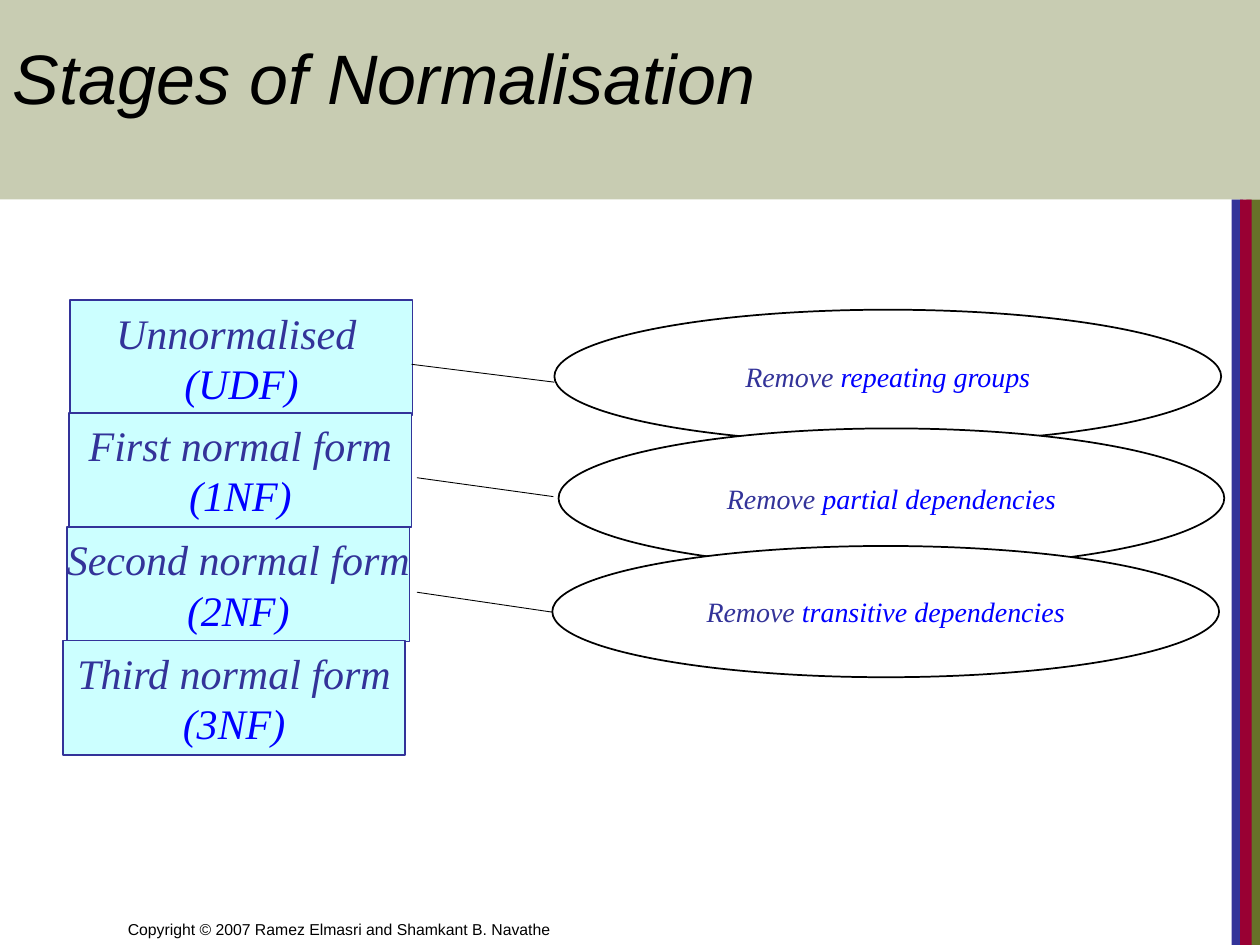
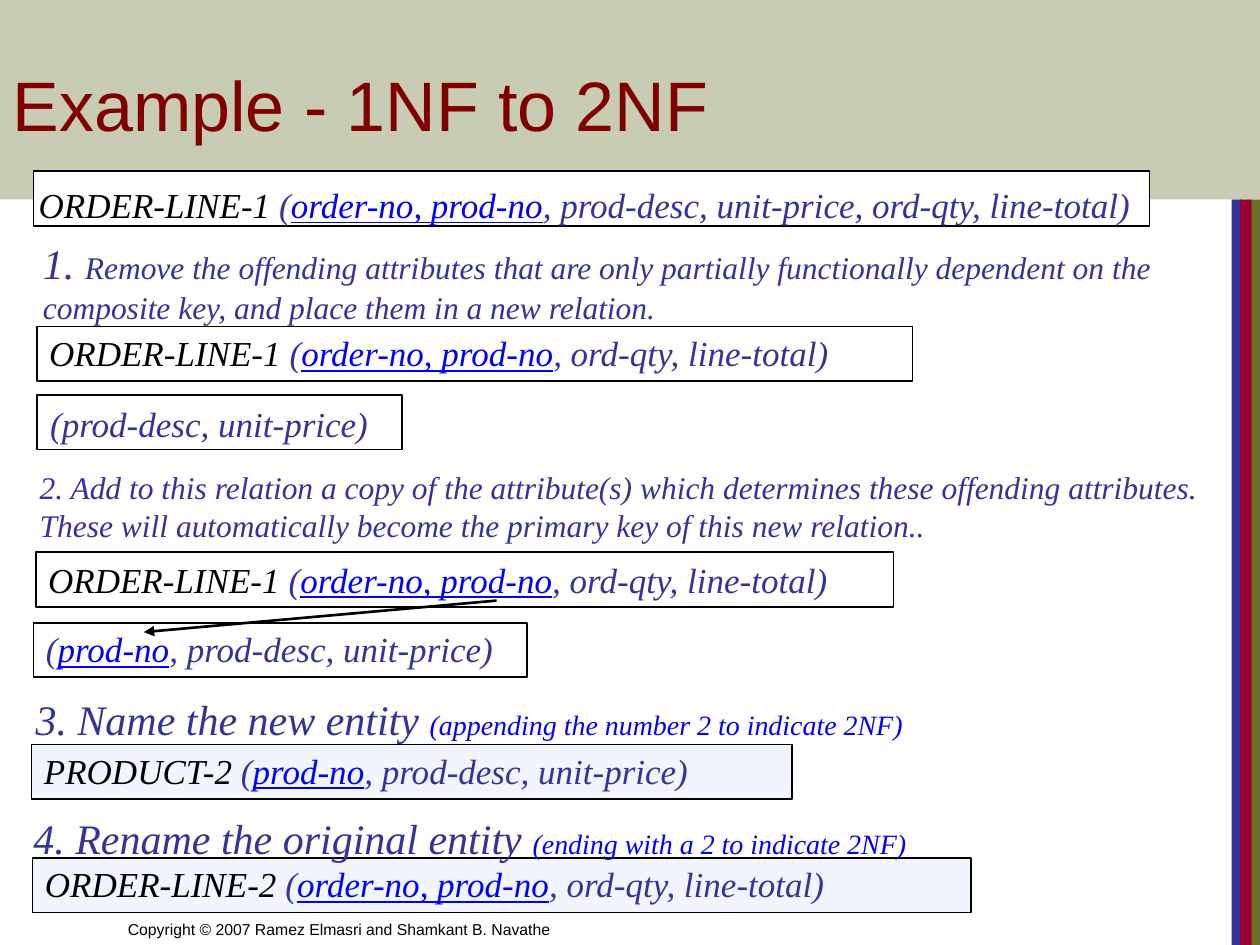
"""Build two slides on database normalisation: its stages and a 1NF to 2NF example."""
from lxml.etree import SubElement
from pptx import Presentation
from pptx.dml.color import RGBColor
from pptx.enum.shapes import MSO_CONNECTOR, MSO_SHAPE
from pptx.enum.text import MSO_ANCHOR, PP_ALIGN
from pptx.oxml.ns import qn
from pptx.util import Pt

PX = 7620
INK, BLUE, KEY = "000000", "333399", "0000FF"
WHITE, AQUA, PALE = "FFFFFF", "CCFFFF", "F0F5FE"
rgb = RGBColor.from_string


def add_block(s, kind, at, fill, line=None):
    sp = s.shapes.add_shape(kind, *(v * PX for v in at))
    sp.shadow.inherit = False
    sp.fill.solid()
    sp.fill.fore_color.rgb = rgb(fill)
    if line:
        sp.line.color.rgb = rgb(line)
        sp.line.width = Pt(1)
    else:
        sp.line.fill.background()
    sp.text_frame.word_wrap = False
    sp.text_frame.vertical_anchor = MSO_ANCHOR.MIDDLE
    return sp


def write(p, size, runs, align=PP_ALIGN.LEFT, spacing=1.0):
    p.alignment = align
    p.line_spacing = spacing
    p.font.name = "Times New Roman"
    p.font.size = Pt(size)
    p.font.italic = True
    for text, color, *small in runs:
        r = p.add_run()
        r.text = text
        r.font.color.rgb = rgb(color)
        if small:
            r.font.size = Pt(small[0])
        if text in ("order-no, prod-no", "prod-no"):
            r.font.underline = True


prs = Presentation()
prs.slide_width, prs.slide_height = 1200 * PX, 900 * PX
layout = prs.slide_layouts[5]
stages, example = [prs.slides.add_slide(layout) for _ in range(2)]

shared = [add_block(stages, MSO_SHAPE.RECTANGLE, at, fill) for at, fill in [
    ((1187, 190, 13, 710), "677228"),
    ((1173, 190, 11, 710), BLUE),
    ((1181, 190, 11, 710), "990033"),
    ((0, 0, 1200, 190), "C8CCB2"),
]]
footer = stages.shapes.add_textbox(110 * PX, 840 * PX, 590 * PX, 60 * PX)
tf = footer.text_frame
tf.word_wrap = True
tf.vertical_anchor = MSO_ANCHOR.BOTTOM
p = tf.paragraphs[0]
p.text = "Copyright © 2007 Ramez Elmasri and Shamkant B. Navathe"
p.font.name = "Arial"
p.font.size = Pt(9)
p.font.color.rgb = rgb(INK)
for i, sp in enumerate(shared + [footer]):
    sp.element.xpath(".//p:cNvPr")[0].set("id", str(20 + i))
    layout.shapes.element.insert(2 + i, sp.element)

for s, text, color, italic, anchor in [
    (stages, "Stages of Normalisation", INK, True, MSO_ANCHOR.MIDDLE),
    (example, "Example - 1NF to 2NF", "800000", False, MSO_ANCHOR.BOTTOM),
]:
    title = s.shapes.title
    title.left, title.top, title.width, title.height = 0, 0, 1200 * PX, 145 * PX
    title.text_frame.vertical_anchor = anchor
    p = title.text_frame.paragraphs[0]
    p.text = text
    p.alignment = PP_ALIGN.LEFT
    p.font.name = "Arial"
    p.font.size = Pt(40)
    p.font.italic = italic
    p.font.color.rgb = rgb(color)

for x, y, form, code in [
    (67, 286, "Unnormalised ", "(UDF)"),
    (66, 393, "First normal form", "(1NF)"),
    (64, 502, "Second normal form", "(2NF)"),
    (60, 610, "Third normal form", "(3NF)"),
]:
    tf = add_block(stages, MSO_SHAPE.RECTANGLE, (x, y, 326, 109), AQUA, BLUE).text_frame
    write(tf.paragraphs[0], 24, [(form, BLUE)], PP_ALIGN.CENTER)
    write(tf.add_paragraph(), 24, [(code, KEY)], PP_ALIGN.CENTER)

for at, target in [
    ((528, 295, 635, 127), "repeating groups"),
    ((532, 408, 634, 133), "partial dependencies"),
    ((526, 520, 635, 125), "transitive dependencies"),
]:
    tf = add_block(stages, MSO_SHAPE.OVAL, at, WHITE, INK).text_frame
    write(tf.paragraphs[0], 16, [("Remove ", BLUE), (target, KEY)], PP_ALIGN.CENTER)

labels = [
    ((29, 220, 1127, 97), 24, 1.0, [
        ("1. ", BLUE),
        ("Remove the offending attributes that are only partially functionally dependent "
         "on the composite key, and place them in a new relation.", BLUE, 18)]),
    ((26, 440, 1129, 84), 18, 1.0, [
        ("2. Add to this relation a copy of the attribute(s) which determines these offending "
         "attributes. These will automatically become the primary key of this new relation..",
         BLUE)]),
    ((22, 660, 904, 44), 24, 0.9, [
        ("3. Name the new entity ", BLUE),
        ("(appending the number 2 to indicate 2NF)", KEY, 16)]),
    ((20, 768, 899, 48), 24, 1.0, [
        ("4. Rename the original entity ", BLUE),
        ("(ending with a 2 to indicate 2NF)", KEY, 16)]),
]
order_key, product_key = "order-no, prod-no", "prod-no"
order_rest, product_rest = ", ord-qty, line-total)", ", prod-desc, unit-price)"
for box, fill, at, name, key, rest in [
    ((32, 163, 1063, 52), WHITE, (25, 169, 1160, 53), "ORDER-LINE-1", order_key,
     ", prod-desc, unit-price, ord-qty, line-total)"),
    ((35, 311, 834, 52), WHITE, (35, 310, 890, 53), "ORDER-LINE-1", order_key, order_rest),
    ((35, 376, 348, 52), WHITE, (36, 377, 374, 53), "", "", "prod-desc, unit-price)"),
    ((34, 526, 817, 52), WHITE, (34, 526, 874, 53), "ORDER-LINE-1", order_key, order_rest),
    ((32, 593, 470, 52), WHITE, (32, 592, 506, 53), "", product_key, product_rest),
    ((30, 709, 724, 52), PALE, (30, 708, 769, 53), "PRODUCT-2", product_key, product_rest),
    ((31, 817, 894, 52), PALE, (31, 816, 955, 53), "ORDER-LINE-2", order_key, order_rest),
]:
    add_block(example, MSO_SHAPE.RECTANGLE, box, fill, INK)
    runs = [(name, INK), (" (" if name else "(", BLUE), (key, KEY), (rest, BLUE)]
    labels.append((at, 20, 1.0, [run for run in runs if run[0]]))

for at, size, spacing, runs in labels:
    tf = example.shapes.add_textbox(*(v * PX for v in at)).text_frame
    tf.word_wrap = True
    write(tf.paragraphs[0], size, runs, spacing=spacing)

for s, ends, width in [
    (stages, (392, 347, 528, 364), 0.5),
    (stages, (397, 455, 527, 473), 0.5),
    (stages, (397, 564, 526, 583), 0.5),
    (example, (473, 572, 137, 602), 1.5),
]:
    line = s.shapes.add_connector(MSO_CONNECTOR.STRAIGHT, *(v * PX for v in ends))
    line.line.color.rgb = rgb(INK)
    line.line.width = Pt(width)
    if s is example:
        SubElement(line.element.spPr.find(qn("a:ln")), qn("a:tailEnd"), type="triangle")
    SubElement(line.element.spPr, qn("a:effectLst"))

prs.save("out.pptx")
